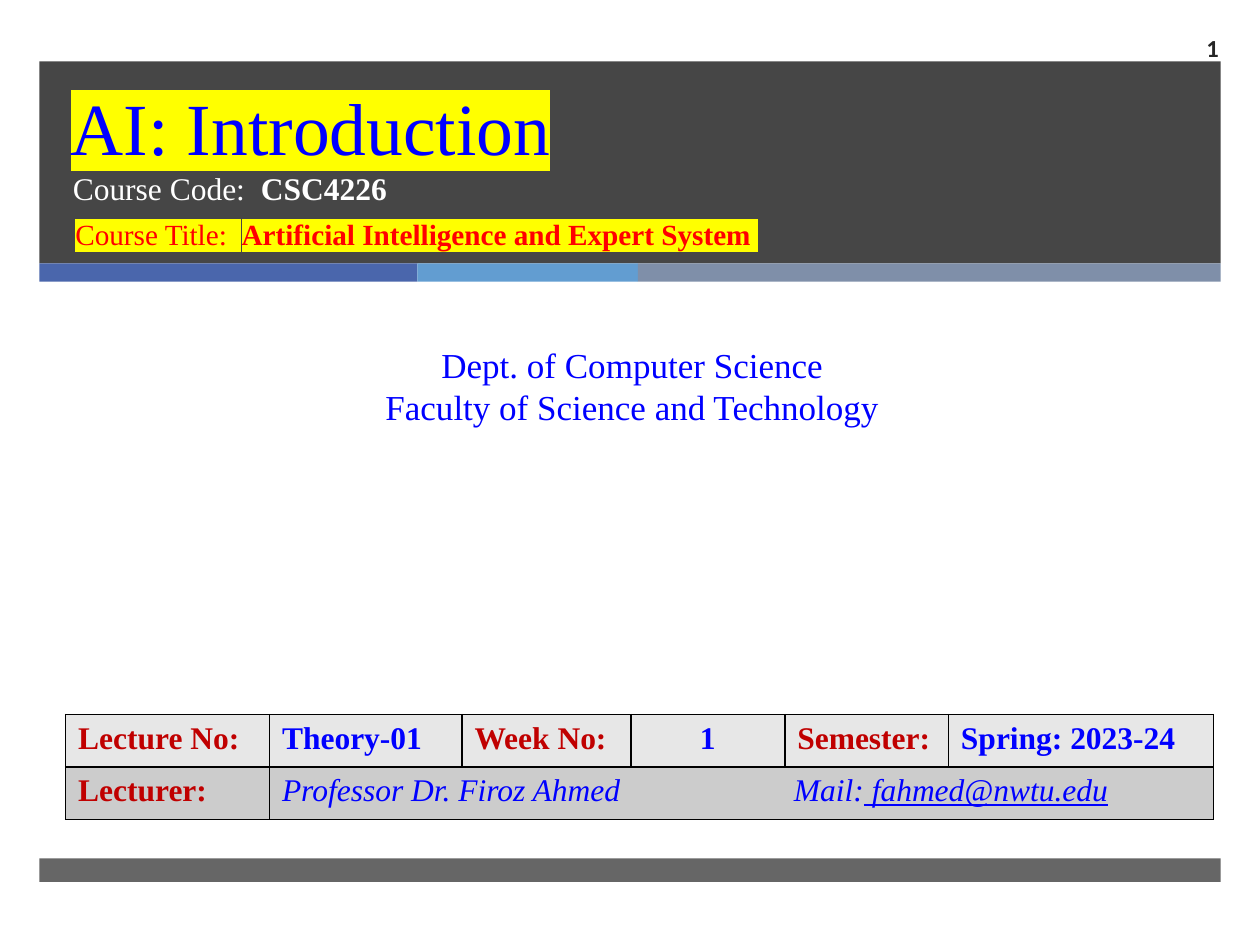
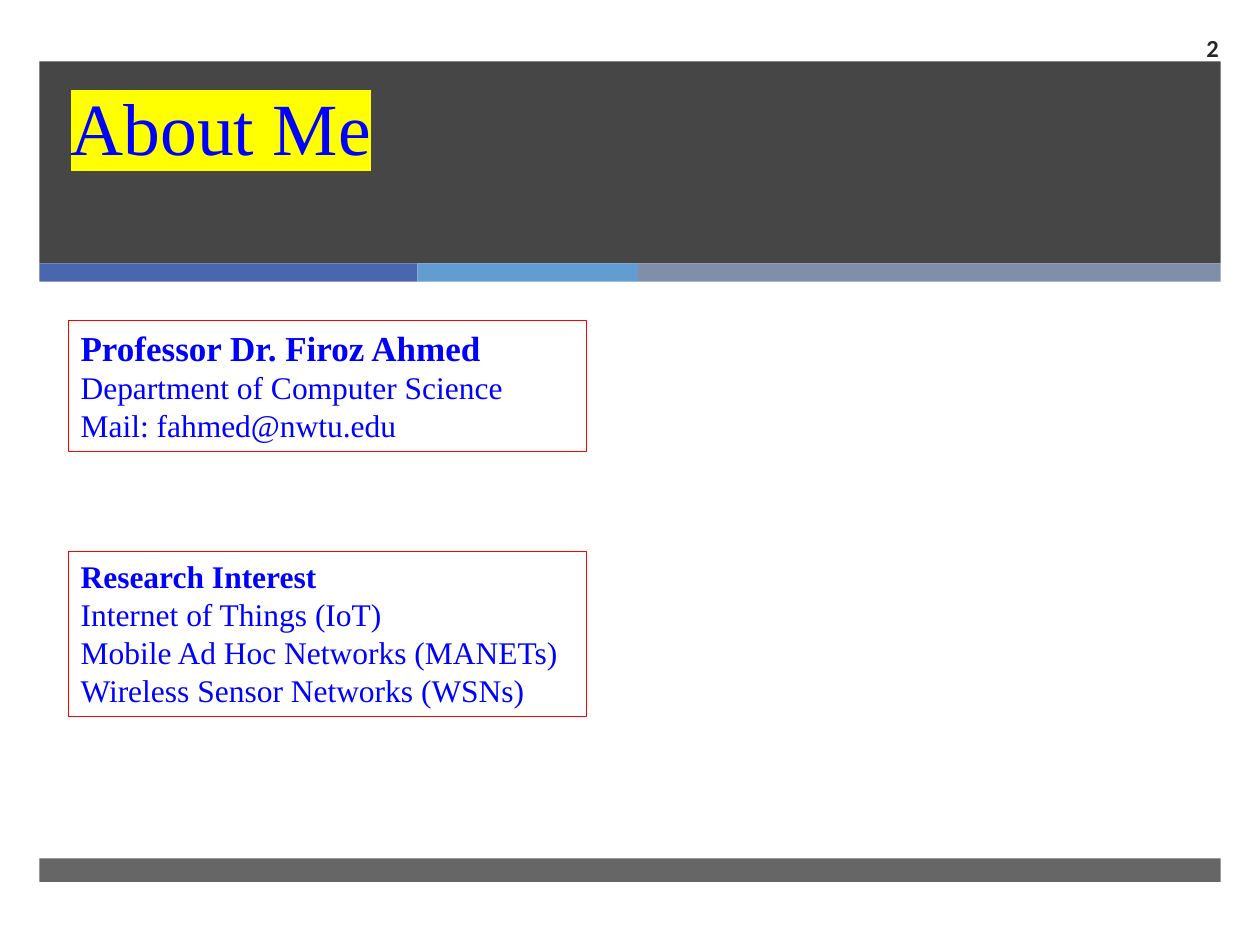
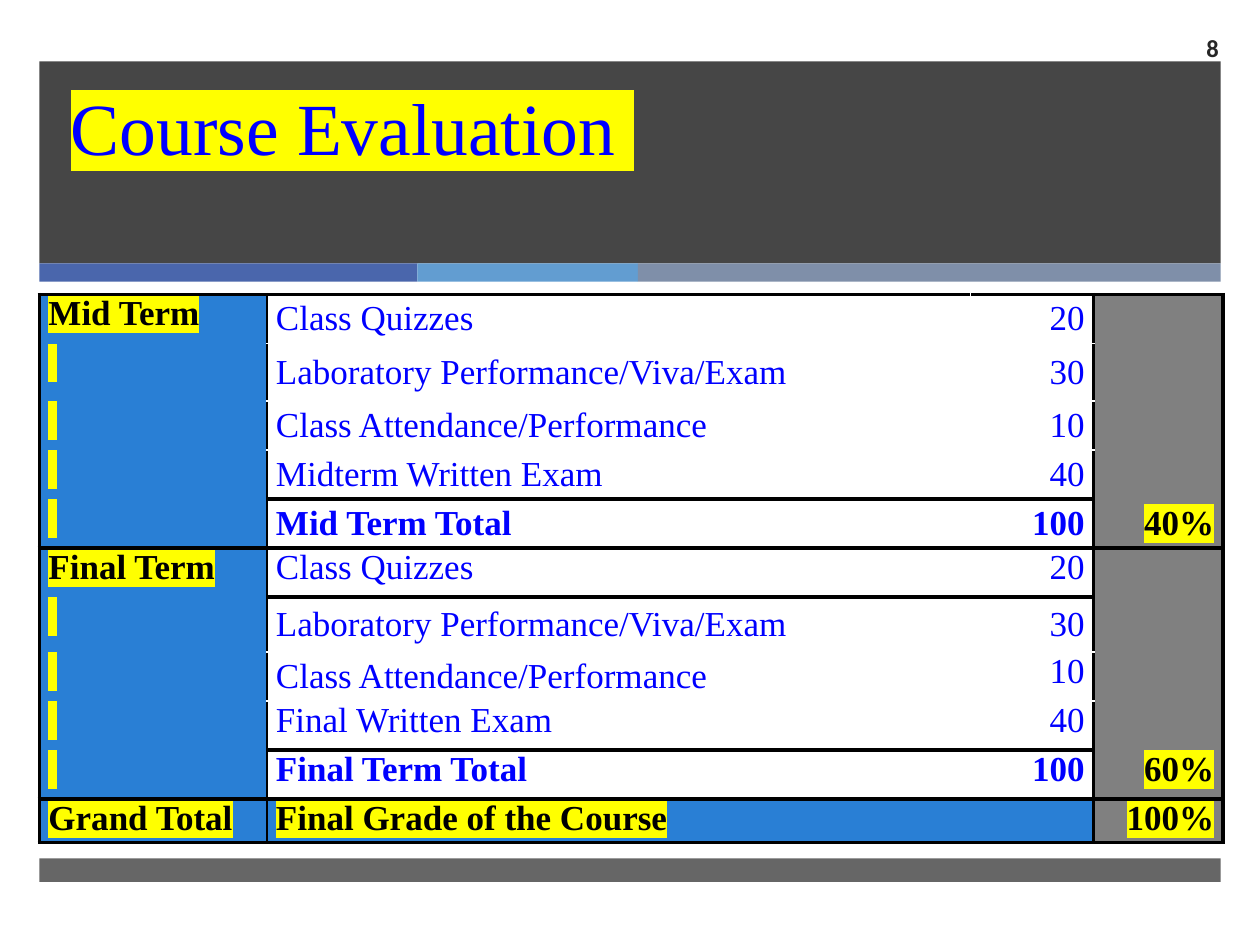
from dataclasses import dataclass, replace
from typing import Optional

from lxml.etree import SubElement
from pptx import Presentation
from pptx.dml.color import RGBColor
from pptx.enum.shapes import MSO_SHAPE
from pptx.enum.text import MSO_ANCHOR, PP_ALIGN
from pptx.oxml import parse_xml
from pptx.oxml.ns import nsdecls, qn
from pptx.util import Pt

INK = RGBColor(0x26, 0x26, 0x26)
BLACK = RGBColor(0x00, 0x00, 0x00)
WHITE = RGBColor(0xFF, 0xFF, 0xFF)
BLUE = RGBColor(0x00, 0x00, 0xFF)
RED = RGBColor(0xFF, 0x00, 0x00)
DARK_RED = RGBColor(0xC0, 0x00, 0x00)
YELLOW = RGBColor(0xFF, 0xFF, 0x00)
INDIGO = RGBColor(0x4A, 0x66, 0xAC)
SKY = RGBColor(0x62, 0x9D, 0xD1)
SLATE = RGBColor(0x7F, 0x8F, 0xA9)
LIGHT_GRAY = RGBColor(0xE7, 0xE7, 0xE7)
MID_GRAY = RGBColor(0xCC, 0xCC, 0xCC)
SHARE_GRAY = RGBColor(0x80, 0x80, 0x80)
SECTION_BLUE = RGBColor(0x29, 0x7F, 0xD5)

TOP, MIDDLE, BOTTOM = MSO_ANCHOR.TOP, MSO_ANCHOR.MIDDLE, MSO_ANCHOR.BOTTOM
LEFT, CENTER, RIGHT = PP_ALIGN.LEFT, PP_ALIGN.CENTER, PP_ALIGN.RIGHT


@dataclass(frozen=True)
class Style:
    size: float
    color: RGBColor
    bold: bool = False
    italic: bool = False
    underline: bool = False
    highlight: Optional[RGBColor] = None
    font: str = "Times New Roman"


TITLE = Style(42, BLUE, highlight=YELLOW)
NUMBER = Style(14, INK, bold=True, font="Calibri")
CODE = Style(18, WHITE)
COURSE = Style(16.7, RED, highlight=YELLOW)
LARGE = Style(20, BLUE)
BODY = Style(18, BLUE)
LABEL = Style(18, DARK_RED, bold=True)
VALUE = replace(BODY, bold=True)
CONTACT = replace(BODY, italic=True)
MARK = Style(20, BLACK, bold=True, highlight=YELLOW)

# Content: a paragraph is a list of (text, style) runs
COURSE_CODE = [[("Course Code:  ", CODE), ("CSC4226", replace(CODE, bold=True))]]
COURSE_TITLE = [[("Course Title:  ", COURSE),
                 ("Artificial Intelligence and Expert System ", replace(COURSE, bold=True))]]
DEPARTMENT = [[("Dept. of Computer Science", LARGE)],
              [("Faculty of Science and Technology", LARGE)]]
LECTURE = [("Lecture No:", "Theory-01"), ("Week No:", "1"), ("Semester:", "Spring: 2023-24")]
LECTURER = [("Professor Dr. Firoz Ahmed\t\t Mail:", CONTACT),
            (" fahmed@nwtu.edu", replace(CONTACT, underline=True))]
LECTURE_COLUMNS = [116.5, 110, 96.5, 88, 93.5, 151.5]

PROFILE = [[("Professor Dr. Firoz Ahmed", replace(LARGE, bold=True))],
           [("Department of Computer Science", BODY)],
           [("Mail: fahmed@nwtu.edu", BODY)]]
RESEARCH = [[("Research Interest", VALUE)],
            [("Internet of Things (IoT)", BODY)],
            [("Mobile Ad Hoc Networks (MANETs)", BODY)],
            [("Wireless Sensor Networks (WSNs)", BODY)]]

# section, item, marks, share, row height, item anchor, marks anchor
EVALUATION = [
    ("Mid Term", "Class Quizzes", "20", "", 28, MIDDLE, MIDDLE),
    (" ", "Laboratory Performance/Viva/Exam", "30", "", 33, MIDDLE, MIDDLE),
    (" ", "Class Attendance/Performance", "10", "", 28, MIDDLE, MIDDLE),
    (" ", "Midterm Written Exam", "40", "", 28, MIDDLE, MIDDLE),
    (" ", "Mid Term Total", "100", "40%", 28, MIDDLE, MIDDLE),
    ("Final Term", "Class Quizzes", "20", "", 28, TOP, TOP),
    (" ", "Laboratory Performance/Viva/Exam", "30", "", 31.5, MIDDLE, MIDDLE),
    (" ", "Class Attendance/Performance", "10", "", 28, MIDDLE, TOP),
    (" ", "Final Written Exam", "40", "", 28, TOP, TOP),
    (" ", "Final Term Total", "100", "60%", 28, TOP, TOP),
    ("Grand Total", "Final Grade of the Course", "", "100%", 25, TOP, TOP),
]
EVALUATION_COLUMNS = [130, 402, 70.5, 74]
SECTION_EDGES = {0, 5, 10, 11}
ITEM_EDGES = SECTION_EDGES | {4, 6, 9}

BAND_LEFT, BAND_WIDTH = 22.5, 675
STRIPES = [(216, INDIGO), (126, SKY), (333, SLATE)]
THIN, THICK, PALE = (BLACK, 1), (BLACK, 2.25), (WHITE, 1)


def write(frame, paragraphs, align=LEFT, spacing=None):
    for i, runs in enumerate(paragraphs):
        paragraph = frame.paragraphs[0] if i == 0 else frame.add_paragraph()
        paragraph.alignment = align
        if spacing:
            paragraph.line_spacing = spacing
        for text, style in runs:
            run = paragraph.add_run()
            run.text = text
            font = run.font
            font.name, font.size = style.font, Pt(style.size)
            font.bold, font.italic = style.bold, style.italic
            font.underline = style.underline
            font.color.rgb = style.color
            if style.highlight is not None:
                run._r.rPr.find(qn("a:solidFill")).addnext(parse_xml(
                    f'<a:highlight {nsdecls("a")}><a:srgbClr val="{style.highlight}"/></a:highlight>'))


def add_text(slide, box, paragraphs, align=LEFT, anchor=TOP, spacing=None):
    frame = slide.shapes.add_textbox(*map(Pt, box)).text_frame
    frame.word_wrap = True
    frame.vertical_anchor = anchor
    write(frame, paragraphs, align, spacing)


def add_rect(slide, box, fill=None, opacity=100, outline=None):
    rect = slide.shapes.add_shape(MSO_SHAPE.RECTANGLE, *map(Pt, box))
    rect.shadow.inherit = False
    if fill is None:
        rect.fill.background()
    else:
        rect.fill.solid()
        rect.fill.fore_color.rgb = fill
        if opacity < 100:
            color = rect._element.spPr.find(qn("a:solidFill"))[0]
            SubElement(color, qn("a:alpha"), val=str(opacity * 1000))
    if outline is None:
        rect.line.fill.background()
    else:
        rect.line.color.rgb = outline
        rect.line.width = Pt(0.75)
    return rect


def add_card(slide, top, height, paragraphs):
    frame = add_rect(slide, (39, top, 296, height), outline=RED).text_frame
    frame.word_wrap = True
    frame.vertical_anchor = TOP
    write(frame, paragraphs)


def add_table(slide, left, top, columns, rows):
    shape = slide.shapes.add_table(len(rows), len(columns), Pt(left), Pt(top),
                                   Pt(sum(columns)), Pt(sum(rows)))
    table = shape.table
    table.first_row = table.horz_banding = False
    for column, width in zip(table.columns, columns):
        column.width = Pt(width)
    for row, height in zip(table.rows, rows):
        row.height = Pt(height)
    return table


def paint_cell(cell, fill, edges):
    """Fill a cell and draw its left, right, top and bottom edges."""
    properties = cell._tc.get_or_add_tcPr()
    for i, (side, edge) in enumerate(zip("LRTB", edges)):
        if edge:
            color, width = edge
            paint = f'<a:solidFill><a:srgbClr val="{color}"/></a:solidFill>'
        else:
            width, paint = 0, "<a:noFill/>"
        properties.insert(i, parse_xml(
            f'<a:ln{side} {nsdecls("a")} w="{int(Pt(width))}">{paint}</a:ln{side}>'))
    cell.fill.solid()
    cell.fill.fore_color.rgb = fill


def add_slide(deck, title, number):
    """Add a slide with the shared bands, title and slide number."""
    slide = deck.slides.add_slide(deck.slide_layouts[6])
    add_rect(slide, (BAND_LEFT, 35, BAND_WIDTH, 115.5), INK, 85)
    left = BAND_LEFT
    for width, color in STRIPES:
        add_rect(slide, (left, 150.5, width, 10.5), color)
        left += width
    add_rect(slide, (BAND_LEFT, 490.5, BAND_WIDTH, 13.5), INK, 70)
    add_text(slide, (33.3, 37.4, 615, 63.4), [[(title, TITLE)]], anchor=BOTTOM, spacing=Pt(46))
    add_text(slide, (654, 13, 49.5, 28), [[(str(number), NUMBER)]], RIGHT, MIDDLE)
    return slide


def add_lecture_table(slide):
    table = add_table(slide, 37.5, 408.4, LECTURE_COLUMNS, [30, 30])
    table.cell(1, 1).merge(table.cell(1, 5))
    for row, fill in enumerate((LIGHT_GRAY, MID_GRAY)):
        for column in range(len(LECTURE_COLUMNS)):
            paint_cell(table.cell(row, column), fill, [THIN] * 4)
    for i, (label, value) in enumerate(LECTURE):
        write(table.cell(0, 2 * i).text_frame, [[(label, LABEL)]])
        write(table.cell(0, 2 * i + 1).text_frame, [[(value, VALUE)]],
              CENTER if value.isdigit() else LEFT)
    write(table.cell(1, 0).text_frame, [[("Lecturer:", LABEL)]])
    contact = table.cell(1, 1).text_frame
    write(contact, [LECTURER])
    contact.paragraphs[0]._p.get_or_add_pPr().set("defTabSz", str(int(Pt(72))))


def horizontal_edge(row, column):
    """Return the line above the given row of the evaluation table."""
    if column in (0, 3):
        return THICK if row in SECTION_EDGES else None
    return THICK if row in ITEM_EDGES else PALE


def add_evaluation_table(slide):
    table = add_table(slide, BAND_LEFT, 168.3, EVALUATION_COLUMNS, [row[4] for row in EVALUATION])
    last = len(EVALUATION) - 1
    table.cell(last, 1).merge(table.cell(last, 2))
    for r, (section, item, marks, share, _, item_anchor, marks_anchor) in enumerate(EVALUATION):
        grand = r == last
        item_style = MARK if grand else replace(LARGE, bold=item.endswith("Total"))
        item_fill = SECTION_BLUE if grand else WHITE
        verticals = [THICK, THIN, THICK if grand else PALE, THICK, THICK]
        cells = [
            (section, MARK, SECTION_BLUE, LEFT, TOP),
            (item, item_style, item_fill, LEFT, item_anchor),
            (marks, item_style, item_fill, RIGHT, marks_anchor),
            (share, MARK, SHARE_GRAY, RIGHT, item_anchor),
        ]
        for c, (text, style, fill, align, anchor) in enumerate(cells):
            cell = table.cell(r, c)
            cell.margin_left = cell.margin_right = Pt(5.2)
            cell.margin_top = cell.margin_bottom = Pt(0)
            cell.vertical_anchor = anchor
            paint_cell(cell, fill, (verticals[c], verticals[c + 1],
                                    horizontal_edge(r, c), horizontal_edge(r + 1, c)))
            if text:
                write(cell.text_frame, [[(text, style)]], align)


def main():
    deck = Presentation()
    deck.slide_width, deck.slide_height = Pt(720), Pt(540)

    intro = add_slide(deck, "AI: Introduction", 1)
    add_text(intro, (34.5, 93, 220, 38), COURSE_CODE)
    add_text(intro, (36, 120, 412, 38), COURSE_TITLE)
    add_text(intro, (6, 193, 710.5, 55.5), DEPARTMENT, CENTER)
    add_lecture_table(intro)

    about = add_slide(deck, "About Me", 2)
    add_card(about, 183, 75, PROFILE)
    add_card(about, 315, 94.5, RESEARCH)

    evaluation = add_slide(deck, "Course Evaluation ", 8)
    add_evaluation_table(evaluation)

    deck.save("out.pptx")


if __name__ == "__main__":
    main()
